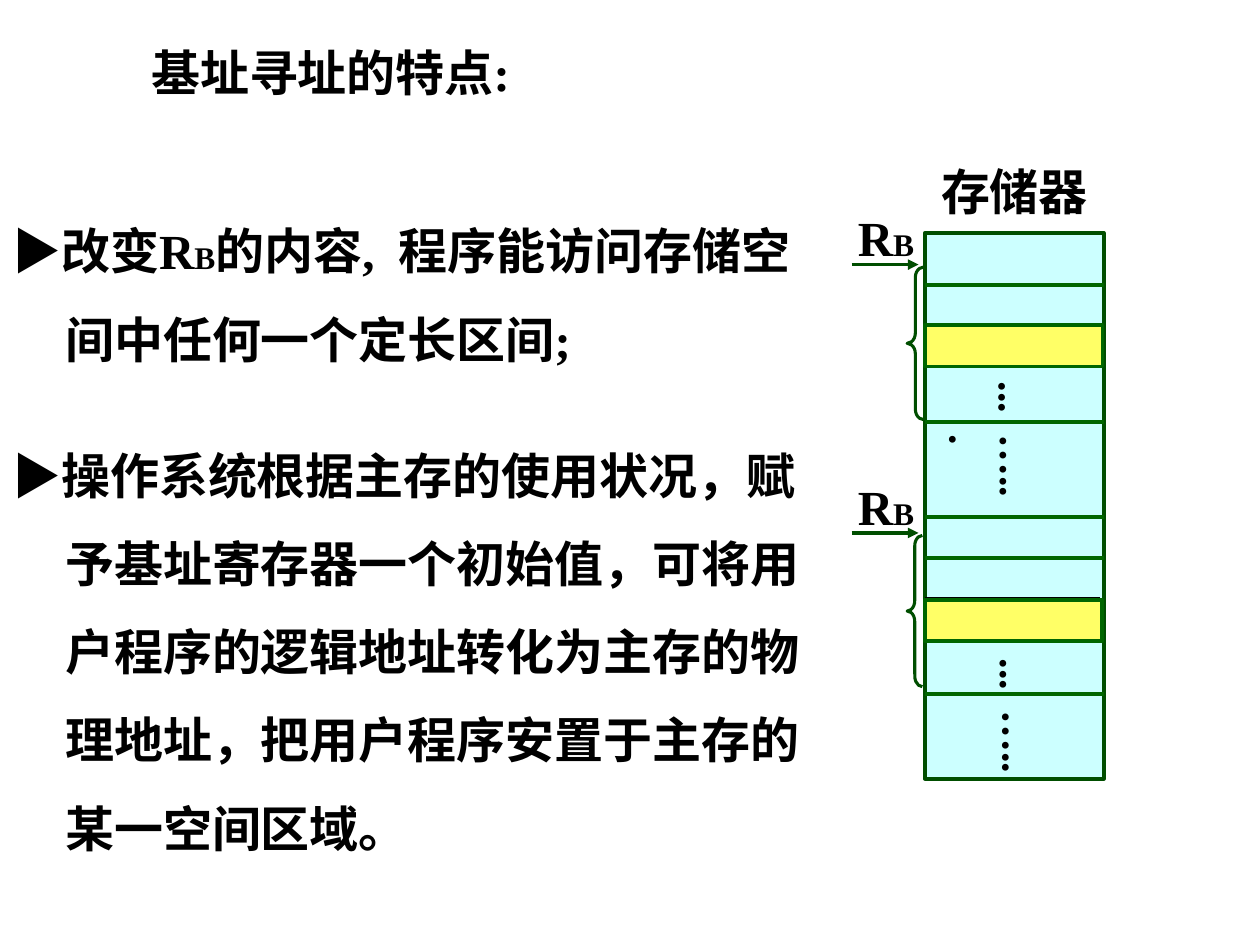
"""Build the slide on the features of base addressing."""
import pptx
import pptx.util
import pptx.dml.color
import pptx.enum.shapes
import pptx.enum.text
import pptx.oxml
import pptx.oxml.ns

Inch, Pt = pptx.util.Inches, pptx.util.Pt
RGB = pptx.dml.color.RGBColor
SHAPE = pptx.enum.shapes.MSO_SHAPE
TEXT = pptx.enum.text
qn = pptx.oxml.ns.qn

BLACK = RGB(0, 0, 0)
DARK = RGB(0, 0x4E, 0)
GREEN = RGB(0, 0x66, 0)
CYAN = RGB(0xCC, 0xFF, 0xFF)
YELLOW = RGB(0xFF, 0xFF, 0x66)
ROMAN, HAN = "Times New Roman", "Noto Sans CJK SC"

TITLE = [("基址寻址的特点:", 28, ROMAN)]
BASE = [("R", 28, ROMAN), ("B", 18, ROMAN)]
POINTS = [
    (1.47, 6.53, 1.51, [
        ("▶改变", 28, HAN), *BASE, ("的内容", 28, HAN), (",  ", 28, ROMAN),
        ("程序能访问存储空间中任何一个定长区间", 28, HAN), (";", 28, ROMAN)]),
    (3.25, 6.57, 3.64, [
        ("▶操作系统根据主存的使用状况，赋予基址寄存器一个初始值，"
         "可将用户程序的逻辑地址转化为主存的物理地址，"
         "把用户程序安置于主存的某一空间区域。", 28, HAN)]),
]
LEFT, TOP, WIDE, HIGH = 7.34, 1.85, 1.42, 4.33
RULES = [(2.6, BLACK, 3), (2.26, GREEN, 2.25), (3.35, GREEN, 2.25),
         (4.1, GREEN, 2.25), (4.43, GREEN, 2.25), (4.76, BLACK, 3),
         (5.51, GREEN, 2.25)]
DOTS = [(7.81, 2.93, 0.58, "..."), (7.82, 5.13, 0.58, "..."),
        (7.82, 3.35, 0.75, "…..."), (7.84, 5.54, 0.75, "…..")]
CELLS = [(2.58, 2), (4.76, 2.25)]
BLOCKS = [(2.1, 0.13, 1.21, 0.63), (4.23, 0.12, 1.2, 0.69)]


def write(box, runs, space=None, hang=0, vert=None):
    """Fill a text shape run by run."""
    frame = box.text_frame
    frame.word_wrap = True
    frame.auto_size = TEXT.MSO_AUTO_SIZE.SHAPE_TO_FIT_TEXT
    frame.vertical_anchor = TEXT.MSO_ANCHOR.TOP
    para = frame.paragraphs[0]
    para.alignment = TEXT.PP_ALIGN.LEFT
    para.space_before = Pt(14)
    if space:
        para.line_spacing = space
    if hang:
        props = para._p.get_or_add_pPr()
        props.set("marL", str(Inch(hang)))
        props.set("indent", str(-Inch(hang)))
    if vert:
        frame._txBody.bodyPr.set("vert", vert)
    for text, size, face in runs:
        run = para.add_run()
        run.text = text
        font = run.font
        font.size, font.bold, font.name = Pt(size), True, face
        font.color.rgb = BLACK
        east = pptx.oxml.ns.qn("a:ea")
        font._element.find(qn("a:latin")).addnext(
            font._element.makeelement(east, {"typeface": HAN}))


def label(slide, x, y, w, h, runs, **style):
    """Add a text box."""
    box = slide.shapes.add_textbox(Inch(x), Inch(y), Inch(w), Inch(h))
    write(box, runs, **style)


def shape(slide, kind, x, y, w, h, width, line=DARK, fill=None):
    """Add an outlined shape."""
    item = slide.shapes.add_shape(kind, Inch(x), Inch(y), Inch(w), Inch(h))
    item.shadow.inherit = False
    if fill is None:
        item.fill.background()
    else:
        item.fill.solid()
        item.fill.fore_color.rgb = fill
    item.line.color.rgb = line
    item.line.width = Pt(width)
    return item


def rule(slide, x, y, w, color, width, arrow=False):
    """Add a level line, with an arrowhead if asked."""
    item = slide.shapes.add_connector(
        pptx.enum.shapes.MSO_CONNECTOR.STRAIGHT,
        Inch(x), Inch(y), Inch(x + w), Inch(y))
    item.line.color.rgb = color
    item.line.width = Pt(width)
    if arrow:
        line = item.line._get_or_add_ln()
        line.append(line.makeelement(qn("a:tailEnd"), {"type": "triangle"}))
    props = item._element.spPr
    props.append(props.makeelement(qn("a:effectLst"), {}))


def main():
    """Build and save the slide."""
    deck = pptx.Presentation()
    deck.slide_width, deck.slide_height = Inch(10), Inch(7.5)
    slide = deck.slides.add_slide(deck.slide_layouts[5])
    title = slide.shapes.title
    title.left, title.top = Inch(1.1), Inch(0.05)
    title.width, title.height = Inch(4.14), Inch(0.72)
    write(title, TITLE, space=1.5)

    for y, thick, tall, bend in BLOCKS:
        label(slide, 6.71, y - 0.5, 0.73, 0.57, BASE)
        rule(slide, 6.76, y, 0.53, DARK, 2, arrow=True)
        brace = shape(slide, SHAPE.LEFT_BRACE, 7.2, y + 0.02, thick, tall, 1.75)
        brace.adjustments[0], brace.adjustments[1] = bend, 0.5

    label(slide, 7.37, 1.23, 1.41, 0.57, [("存储器", 28, ROMAN)])
    shape(slide, SHAPE.RECTANGLE, LEFT, TOP, WIDE, HIGH, 2.25, fill=CYAN)
    for y, color, width in RULES:
        span = 1.39 if color == BLACK else WIDE
        rule(slide, LEFT, y, span, color, width)
    for x, y, h, text in DOTS:
        label(slide, x, y, 0.5, h, [(text, 24, ROMAN)], vert="eaVert")
    for y, width in CELLS:
        shape(slide, SHAPE.RECTANGLE, LEFT, y, 1.41, 0.33, width, GREEN, YELLOW)

    for y, w, h, runs in POINTS:
        label(slide, 0, y, w, h, runs, space=1.5, hang=0.42)
    deck.save("out.pptx")


if __name__ == "__main__":
    main()
